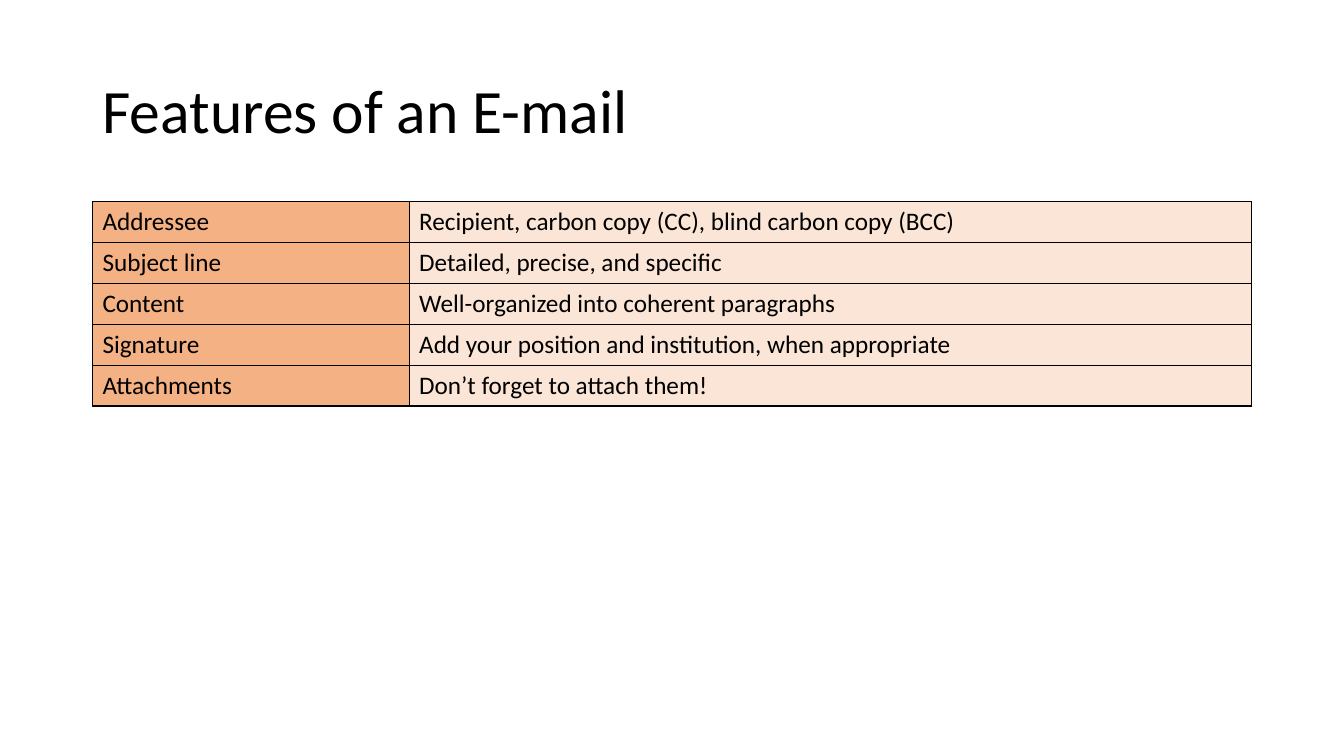
"""Builds a slide that lists the features of an e-mail in a two-column table."""
from dataclasses import dataclass

from lxml.etree import SubElement
from pptx import Presentation
from pptx.dml.color import RGBColor
from pptx.enum.text import MSO_ANCHOR, PP_ALIGN
from pptx.oxml.ns import qn
from pptx.util import Cm, Pt

FEATURES = [
    ("Addressee", "Recipient, carbon copy (CC), blind carbon copy (BCC)"),
    ("Subject line", "Detailed, precise, and specific"),
    ("Content", "Well-organized into coherent paragraphs"),
    ("Signature", "Add your position and institution, when appropriate"),
    ("Attachments", "Don’t forget to attach them!"),
]


@dataclass(frozen=True)
class Theme:
    font: str = "Calibri"
    title_size: int = 44
    table_size: int = 18
    ink: str = "000000"
    column_fills: tuple = ("F4B183", "FBE5D6")
    border_width: int = 1


class SlideBuilder:
    def __init__(self, slide, theme):
        self.slide = slide
        self.theme = theme

    def style(self, paragraph, size):
        paragraph.font.name = self.theme.font
        paragraph.font.size = Pt(size)
        paragraph.font.bold = False
        paragraph.font.color.rgb = RGBColor.from_string(self.theme.ink)
        paragraph.alignment = PP_ALIGN.LEFT

    def title(self, text, left, top, width, height):
        shape = self.slide.shapes.title
        shape.left, shape.top, shape.width, shape.height = left, top, width, height
        shape.text_frame.text = text
        shape.text_frame.vertical_anchor = MSO_ANCHOR.MIDDLE
        paragraph = shape.text_frame.paragraphs[0]
        paragraph.line_spacing = 0.9
        self.style(paragraph, self.theme.title_size)

    def table(self, rows, left, top, column_widths, row_height):
        table = self.slide.shapes.add_table(
            len(rows), len(column_widths), left, top,
            sum(column_widths), row_height * len(rows)).table
        table.first_row = table.horz_banding = False
        for column, width in zip(table.columns, column_widths):
            column.width = width
        for row, texts in zip(table.rows, rows):
            row.height = row_height
            for cell, text, fill in zip(row.cells, texts, self.theme.column_fills):
                self.cell(cell, text, fill)

    def cell(self, cell, text, fill):
        cell.text = text
        self.style(cell.text_frame.paragraphs[0], self.theme.table_size)
        self.borders(cell)
        cell.fill.solid()
        cell.fill.fore_color.rgb = RGBColor.from_string(fill)

    def borders(self, cell):
        properties = cell._tc.get_or_add_tcPr()
        for side in ("a:lnL", "a:lnR", "a:lnT", "a:lnB"):
            line = SubElement(properties, qn(side), w=str(Pt(self.theme.border_width)))
            fill = SubElement(line, qn("a:solidFill"))
            SubElement(fill, qn("a:srgbClr"), val=self.theme.ink)


def main():
    presentation = Presentation()
    presentation.slide_width, presentation.slide_height = Cm(33.87), Cm(19.05)
    slide = presentation.slides.add_slide(presentation.slide_layouts[5])
    builder = SlideBuilder(slide, Theme())
    left = Cm(2.33)
    builder.title("Features of an E-mail", left, Cm(1.01), Cm(29.21), Cm(3.68))
    builder.table(FEATURES, left, Cm(5.08), (Cm(7.98), Cm(21.23)), Cm(1.03))
    presentation.save("out.pptx")


if __name__ == "__main__":
    main()
